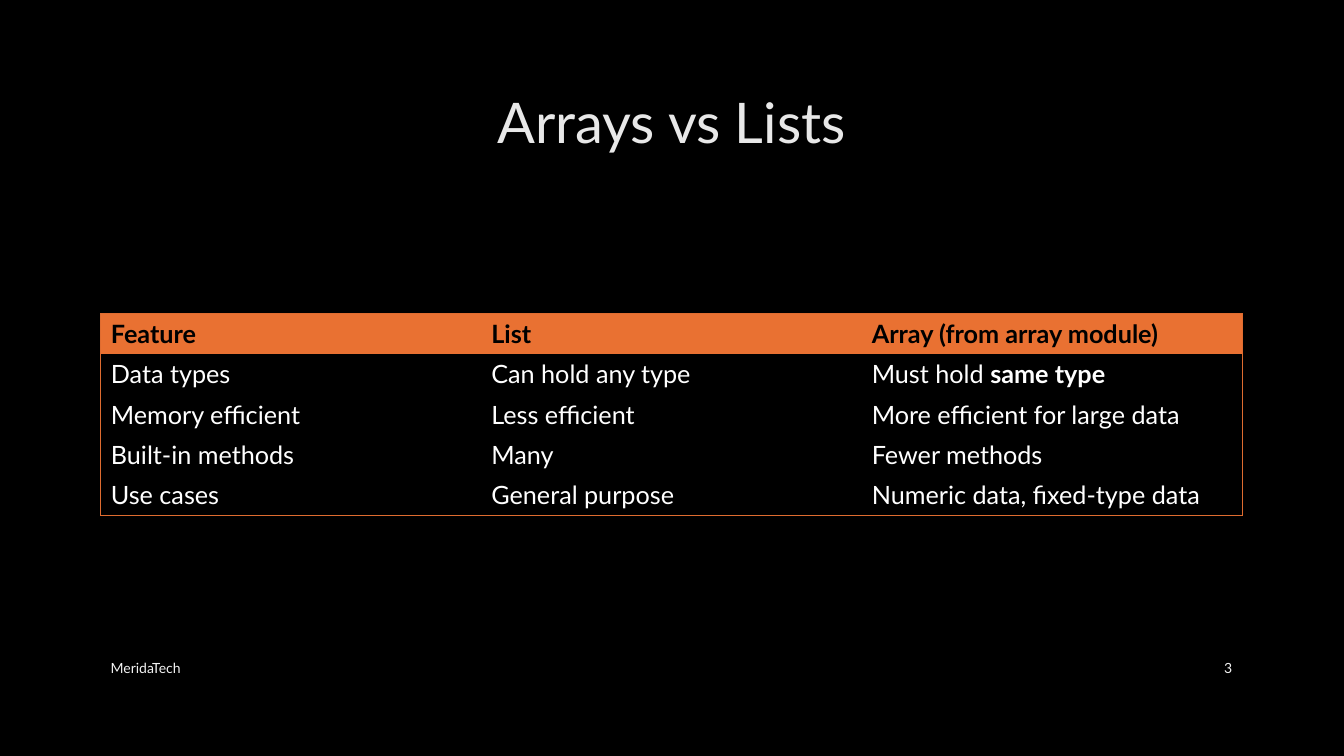
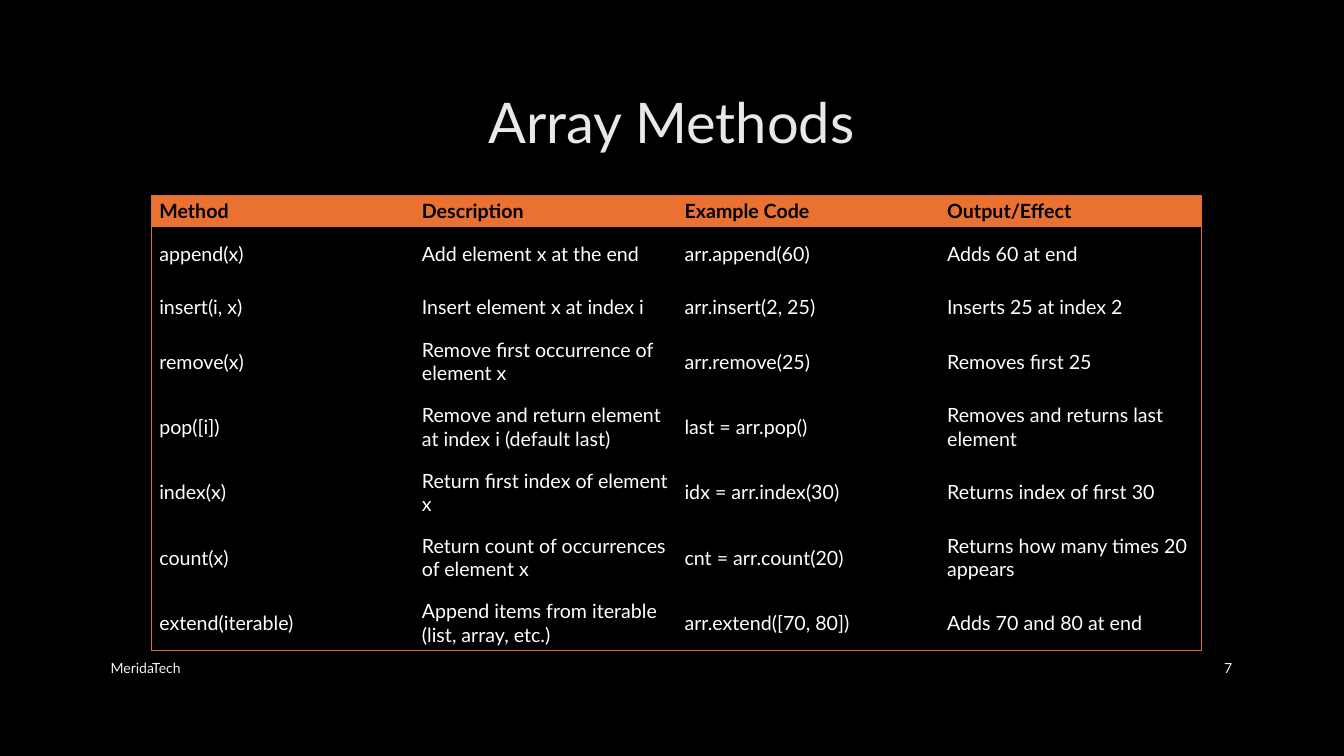
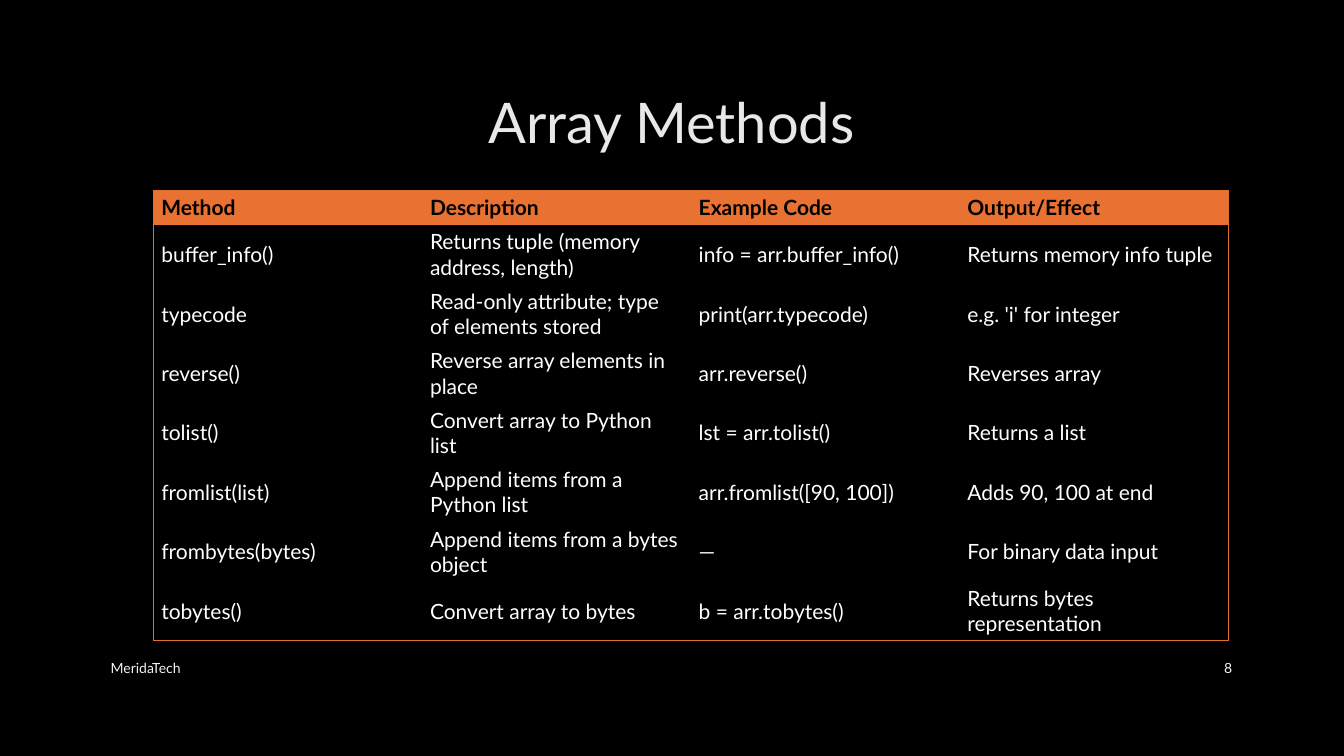
from dataclasses import dataclass

from lxml.etree import SubElement
from pptx import Presentation
from pptx.dml.color import RGBColor
from pptx.enum.text import MSO_ANCHOR, PP_ALIGN
from pptx.oxml import parse_xml
from pptx.oxml.ns import qn
from pptx.util import Inches, Pt

NO_STYLE_NO_GRID = "{2D5ABB26-0587-4C30-8999-92F81FD0307C}"
DRAWING_NS = "http://schemas.openxmlformats.org/drawingml/2006/main"
FOOTER = "MeridaTech"
METHOD_HEADINGS = ("Method", "Description", "Example Code", "Output/Effect")
COMPACT_MARGINS = (0.08, 0.04)

COMPARISON_ROWS = [
    ("Feature", "List", "Array (from array module)"),
    ("Data types", "Can hold any type", ("Must hold ", "same type")),
    ("Memory efficient", "Less efficient", "More efficient for large data"),
    ("Built-in methods", "Many", "Fewer methods"),
    ("Use cases", "General purpose", "Numeric data, fixed-type data"),
]
EDITING_ROWS = [
    METHOD_HEADINGS,
    ("append(x)", "Add element x at the end", "arr.append(60)", "Adds 60 at end"),
    ("insert(i, x)", "Insert element x at index i", "arr.insert(2, 25)", "Inserts 25 at index 2"),
    ("remove(x)", "Remove first occurrence of element x", "arr.remove(25)", "Removes first 25"),
    ("pop([i])", "Remove and return element at index i (default last)", "last = arr.pop()",
     "Removes and returns last element"),
    ("index(x)", "Return first index of element x", "idx = arr.index(30)",
     "Returns index of first 30"),
    ("count(x)", "Return count of occurrences of element x", "cnt = arr.count(20)",
     "Returns how many times 20 appears"),
    ("extend(iterable)", "Append items from iterable (list, array, etc.)",
     "arr.extend([70, 80])", "Adds 70 and 80 at end"),
]
CONVERSION_ROWS = [
    METHOD_HEADINGS,
    ("buffer_info()", "Returns tuple (memory address, length)", "info = arr.buffer_info()",
     "Returns memory info tuple"),
    ("typecode", "Read-only attribute; type of elements stored", "print(arr.typecode)",
     "e.g. 'i' for integer"),
    ("reverse()", "Reverse array elements in place", "arr.reverse()", "Reverses array"),
    ("tolist()", "Convert array to Python list", "lst = arr.tolist()", "Returns a list"),
    ("fromlist(list)", "Append items from a Python list", "arr.fromlist([90, 100])",
     "Adds 90, 100 at end"),
    ("frombytes(bytes)", "Append items from a bytes object", "—", "For binary data input"),
    ("tobytes()", "Convert array to bytes", "b = arr.tobytes()", "Returns bytes representation"),
]


@dataclass(frozen=True)
class Theme:
    """Colours, font and type sizes shared by all slides."""

    font: str = "Lato"
    background: str = "000000"
    title: str = "E8E8E8"
    title_outline: str = "404040"
    footer: str = "F2F2F2"
    heading: str = "000000"
    body: str = "FFFFFF"
    band: str = "E97132"
    border: str = "DF6C30"
    title_size: int = 40
    footer_size: int = 10
    line_width: float = 0.75


THEME = Theme()


def apply_format(target, formats):
    """Set every attribute in formats on target."""
    for attribute, value in formats.items():
        setattr(target, attribute, value)


def add_run(paragraph, text, size, color, bold=False):
    """Append a styled run to a paragraph."""
    run = paragraph.add_run()
    run.text = text
    apply_format(run.font, {"name": THEME.font, "size": Pt(size), "bold": bold})
    run.font.color.rgb = RGBColor.from_string(color)
    return run


def add_label(slide, box, text, size, color, alignment=PP_ALIGN.LEFT):
    """Add a vertically centred line of text and return its run."""
    frame = slide.shapes.add_textbox(*map(Inches, box)).text_frame
    apply_format(frame, {"word_wrap": True, "vertical_anchor": MSO_ANCHOR.MIDDLE})
    frame.paragraphs[0].alignment = alignment
    return add_run(frame.paragraphs[0], text, size, color)


def add_title(slide, text):
    """Add the centred title with its faint outline."""
    run = add_label(slide, (1, 0.67, 11.32, 1.06), text, THEME.title_size,
                    THEME.title, PP_ALIGN.CENTER)
    outline = parse_xml(
        f'<a:ln xmlns:a="{DRAWING_NS}" w="{Pt(THEME.line_width)}"><a:solidFill>'
        f'<a:srgbClr val="{THEME.title_outline}"><a:alpha val="10000"/></a:srgbClr>'
        '</a:solidFill></a:ln>')
    run.font._element.insert(0, outline)


def add_footer(slide, number):
    """Add the footer name and the slide number."""
    style = (THEME.footer_size, THEME.footer)
    add_label(slide, (1, 6.43, 7.3, 0.4), FOOTER, *style)
    add_label(slide, (11.5, 6.43, 0.82, 0.4), str(number), *style, PP_ALIGN.RIGHT)


def add_borders(cell, sides):
    """Draw the border colour on the sides marked true."""
    properties = cell._tc.get_or_add_tcPr()
    for side, visible in sides.items():
        if visible:
            line = SubElement(properties, qn(f"a:ln{side}"), w=str(Pt(THEME.line_width)))
            fill = SubElement(line, qn("a:solidFill"))
            SubElement(fill, qn("a:srgbClr"), val=THEME.border)


def fill_cell(cell, content, size, heading, margins):
    """Write one cell; the second part of a tuple is bold."""
    across, down = map(Inches, margins)
    apply_format(cell, {
        "vertical_anchor": MSO_ANCHOR.MIDDLE,
        "margin_left": across, "margin_right": across,
        "margin_top": down, "margin_bottom": down,
    })
    if heading:
        cell.fill.solid()
        cell.fill.fore_color.rgb = RGBColor.from_string(THEME.band)
    else:
        cell.fill.background()
    parts = (content,) if isinstance(content, str) else content
    color = THEME.heading if heading else THEME.body
    for position, part in enumerate(parts):
        add_run(cell.text_frame.paragraphs[0], part, size, color, heading or position > 0)


def add_grid(slide, rows, origin, width, heights, size, margins=(0.1, 0.05)):
    """Add a table with equal columns, a heading band and an outer border."""
    last_row, last_column = len(rows) - 1, len(rows[0]) - 1
    frame = slide.shapes.add_table(len(rows), len(rows[0]),
                                   *map(Inches, (*origin, width, sum(heights))))
    table = frame.table
    table._tbl.tblPr.find(qn("a:tableStyleId")).text = NO_STYLE_NO_GRID
    table.horz_banding = False
    for column in table.columns:
        column.width = Inches(width / len(rows[0]))
    for r, (contents, height) in enumerate(zip(rows, heights)):
        table.rows[r].height = Inches(height)
        for c, content in enumerate(contents):
            cell = table.cell(r, c)
            add_borders(cell, {"L": c == 0, "R": c == last_column,
                               "T": r == 0, "B": r == last_row})
            fill_cell(cell, content, size, r == 0, margins)


def add_table_slide(deck, title, number, **grid):
    """Add a slide with title, table and footer."""
    slide = deck.slides.add_slide(deck.slide_layouts[6])
    add_title(slide, title)
    add_grid(slide, **grid)
    add_footer(slide, number)


def main():
    """Build and save the deck."""
    deck = Presentation()
    apply_format(deck, {"slide_width": Inches(13.33), "slide_height": Inches(7.5)})
    backdrop = deck.slide_master.background.fill
    backdrop.solid()
    backdrop.fore_color.rgb = RGBColor.from_string(THEME.background)

    add_table_slide(deck, "Arrays vs Lists", 3, rows=COMPARISON_ROWS, origin=(1, 3.11),
                    width=11.32, heights=[0.4] * 5, size=18)
    add_table_slide(deck, "Array Methods", 7, rows=EDITING_ROWS, origin=(1.5, 1.94),
                    width=10.42, heights=[0.3, 0.53, 0.53, 0.53, 0.75, 0.53, 0.75, 0.53],
                    size=14, margins=COMPACT_MARGINS)
    add_table_slide(deck, "Array Methods", 8, rows=CONVERSION_ROWS, origin=(1.52, 1.89),
                    width=10.66, heights=[0.34] + [0.59] * 7,
                    size=15, margins=COMPACT_MARGINS)
    deck.save("out.pptx")


if __name__ == "__main__":
    main()
